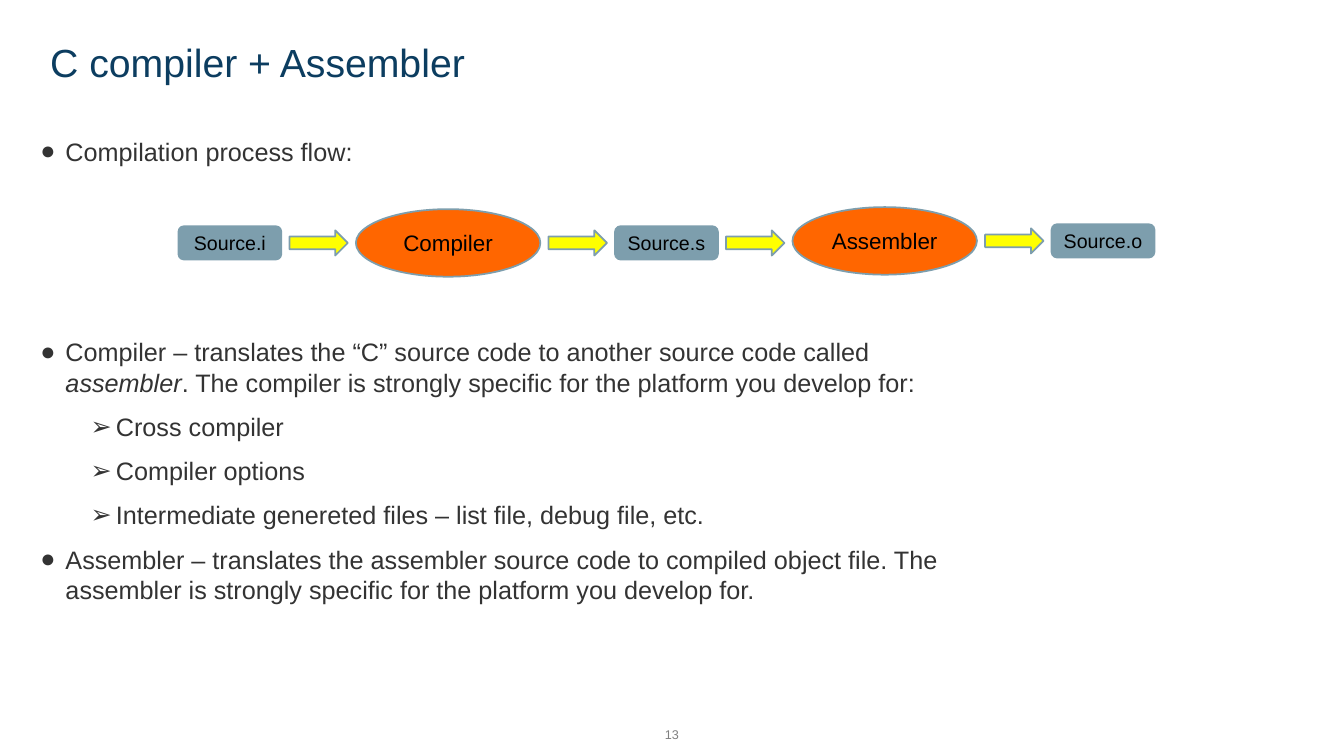
from dataclasses import dataclass

from lxml.etree import SubElement
from pptx import Presentation
from pptx.dml.color import RGBColor
from pptx.enum.shapes import MSO_SHAPE as Shape
from pptx.enum.text import MSO_ANCHOR as Anchor, PP_ALIGN as Align
from pptx.oxml.ns import qn
from pptx.util import Inches, Pt


@dataclass(frozen=True)
class Theme:
    font: str = "Arial"
    title: str = "0C3D60"
    body: str = "333333"
    label: str = "000000"
    muted: str = "808080"
    file: str = "7D9EAD"
    tool: str = "FF6600"
    arrow: str = "FFFF00"
    title_size: int = 28
    body_size: int = 18
    tool_size: int = 16
    file_size: int = 14
    number_size: int = 9


THEME = Theme()
WIDTH, HEIGHT = 13.33, 7.5
MARGIN = 0.4
BULLETS = ("●", "➢")

# Each step: preset shape, width, height, fill, text size
FILE = (Shape.ROUNDED_RECTANGLE, 1.02, 0.33, THEME.file, THEME.file_size)
TOOL = (Shape.OVAL, 1.83, 0.67, THEME.tool, THEME.tool_size)
ARROW = (Shape.RIGHT_ARROW, 0.58, 0.25, THEME.arrow, None)
STEPS = [("Source.i", FILE), ("Compiler", TOOL), ("Source.s", FILE),
         ("Assembler", TOOL), ("Source.o", FILE)]
STEP_GAP = 0.08
RAISED_FROM, RAISE = 3, 0.02

INTRO = [(0, ["Compilation process flow:"])]
# Every second piece of a point is italic
DETAILS = [
    (0, ["Compiler – translates the “C” source code to another source code called ",
         "assembler",
         ". The compiler is strongly specific for the platform you develop for:"]),
    (1, ["Cross compiler"]),
    (1, ["Compiler options"]),
    (1, ["Intermediate genereted files – list file, debug file, etc."]),
    (0, ["Assembler – translates the assembler source code to compiled object file. "
         "The assembler is strongly specific for the platform you develop for."]),
]


def write(paragraph, text, *, size, color, italic=False, align=None):
    run = paragraph.add_run()
    run.text = text
    run.font.name = THEME.font
    run.font.size = Pt(size)
    run.font.italic = italic
    run.font.color.rgb = RGBColor.from_string(color)
    if align is not None:
        paragraph.alignment = align


def text_frame(slide, box, anchor=Anchor.TOP, inset=None):
    frame = slide.shapes.add_textbox(*map(Inches, box)).text_frame
    frame.word_wrap = True
    frame.vertical_anchor = anchor
    if inset is not None:
        frame.margin_left = frame.margin_right = Inches(inset)
        frame.margin_top = frame.margin_bottom = Inches(inset)
    return frame


def add_title(slide, box, text):
    heading = text_frame(slide, box, Anchor.MIDDLE).paragraphs[0]
    heading.line_spacing = 0.9
    write(heading, text, size=THEME.title_size, color=THEME.title)


def add_page_number(slide, box, number):
    footer = text_frame(slide, box, Anchor.MIDDLE).paragraphs[0]
    write(footer, number, size=THEME.number_size, color=THEME.muted, align=Align.CENTER)


def set_bullet(paragraph, level):
    properties = paragraph._p.get_or_add_pPr()
    properties.set("marL", str(Inches(0.25 + 0.5 * level)))
    properties.set("indent", str(Inches(-0.25)))
    color = SubElement(properties, qn("a:buClr"))
    SubElement(color, qn("a:srgbClr"), val=THEME.body)
    SubElement(properties, qn("a:buFont"), typeface=THEME.font)
    SubElement(properties, qn("a:buChar"), char=BULLETS[level])


def add_points(slide, box, points):
    frame = text_frame(slide, box, inset=0)
    for index, (level, pieces) in enumerate(points):
        point = frame.add_paragraph() if index else frame.paragraphs[0]
        point.level = level
        point.space_before = Pt(10)
        set_bullet(point, level)
        for order, piece in enumerate(pieces):
            write(point, piece, size=THEME.body_size, color=THEME.body,
                  italic=order % 2 == 1)


def add_step(slide, left, middle, style, label=""):
    """Draw one step centred on the middle line and return its right edge."""
    preset, width, height, fill, size = style
    step = slide.shapes.add_shape(
        preset, *map(Inches, (left, middle - height / 2, width, height)))
    step.shadow.inherit = False
    step.fill.solid()
    step.fill.fore_color.rgb = RGBColor.from_string(fill)
    step.line.color.rgb = RGBColor.from_string(THEME.file)
    step.line.width = Pt(1.25)
    if label:
        frame = step.text_frame
        frame.vertical_anchor = Anchor.MIDDLE
        write(frame.paragraphs[0], label, size=size, color=THEME.label,
              align=Align.CENTER)
    return left + width


def add_flow(slide, box, steps):
    left, top, _, height = box
    middle = top + height / 2
    for index, (label, style) in enumerate(steps):
        # The last steps and the arrow between them sit slightly higher
        step_middle = middle - (RAISE if index >= RAISED_FROM else 0)
        right = add_step(slide, left, step_middle, style, label)
        if index < len(steps) - 1:
            right = add_step(slide, right + STEP_GAP, step_middle, ARROW)
        left = right + STEP_GAP


def build_slide(deck):
    slide = deck.slides.add_slide(deck.slide_layouts[6])
    body_width = 9.3
    add_title(slide, (MARGIN, 0.2, 11.03, 0.88), "C compiler + Assembler")
    add_points(slide, (MARGIN, 1.35, body_width, 0.42), INTRO)
    add_flow(slide, (1.77, 2.08, 9.68, 0.66), STEPS)
    add_points(slide, (MARGIN, 3.34, body_width, 3.25), DETAILS)
    add_page_number(slide, (WIDTH / 2 - 1.5, 7.09, 3, 0.4), "13")


def main():
    deck = Presentation()
    deck.slide_width, deck.slide_height = Inches(WIDTH), Inches(HEIGHT)
    build_slide(deck)
    deck.save("out.pptx")


if __name__ == "__main__":
    main()
